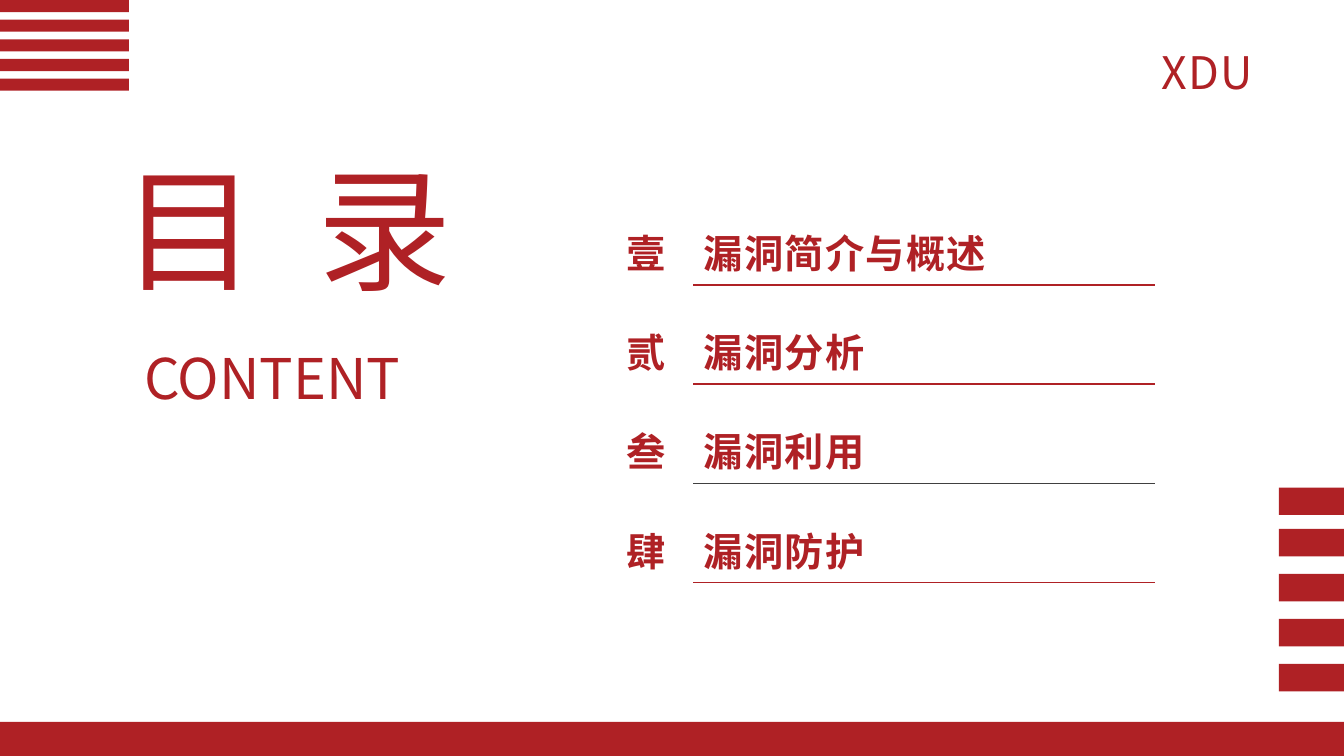
from dataclasses import dataclass

from lxml.etree import SubElement
from pptx import Presentation
from pptx.dml.color import RGBColor
from pptx.enum.shapes import MSO_SHAPE
from pptx.enum.text import MSO_ANCHOR, MSO_AUTO_SIZE, PP_ALIGN
from pptx.oxml.ns import qn
from pptx.util import Inches, Pt

COLORS = {"red": "AF2125", "dark": "404040"}
FONT = "Noto Sans CJK SC"
NO_GRID = "{2D5ABB26-0587-4C30-8999-92F81FD0307C}"
WIDE, HIGH = Inches(13.33), Inches(7.5)


@dataclass
class Box:
    """A place on the slide, in percent of its width and height."""
    left: float
    top: float
    wide: float
    high: float

    def emu(self) -> tuple:
        return (across(self.left), down(self.top),
                across(self.wide), down(self.high))


@dataclass
class Stack:
    """Equal bars, one below the other; pitch in percent of the height."""
    first: Box
    pitch: float = 0
    count: int = 1


@dataclass
class Entry:
    mark: str
    name: str
    line: str = "red"
    width: float = 1.5


STACKS = [
    Stack(Box(0, 95.47, 100, 4.53)),
    Stack(Box(0, 0, 9.6, 1.6), 2.6, 5),
    Stack(Box(95.16, 64.5, 4.84, 3.63)),
    Stack(Box(95.16, 69.97, 4.84, 3.63), 5.95, 4),
]
ENTRIES = [
    Entry("壹", "漏洞简介与概述"),
    Entry("贰", "漏洞分析"),
    Entry("叁", "漏洞利用", "dark", 0.5),
    Entry("肆", "漏洞防护"),
]
COLUMNS = (5.7, 27, 7.35)
ROW = 13.13


def across(share: float) -> int:
    return round(WIDE * share / 100)


def down(share: float) -> int:
    return round(HIGH * share / 100)


def add_run(para, text: str, size: float, gap: float = 0,
            bold: bool = False) -> None:
    """Add a red run; gap is the letter spacing in points."""
    run = para.add_run()
    run.text = text
    font = run.font
    font.size, font.bold, font.name = Pt(size), bold, FONT
    font.color.rgb = RGBColor.from_string(COLORS["red"])
    props = run._r.get_or_add_rPr()
    SubElement(props, qn("a:ea")).set("typeface", FONT)
    if gap:
        props.set("spc", str(round(gap * 100)))


def set_frame(shape, box: Box, space: float, wrap: bool = True):
    """Place a text shape and return its first paragraph."""
    shape.left, shape.top, shape.width, shape.height = box.emu()
    frame = shape.text_frame
    frame.word_wrap = wrap
    frame.auto_size = MSO_AUTO_SIZE.SHAPE_TO_FIT_TEXT
    frame.vertical_anchor = MSO_ANCHOR.TOP
    para = frame.paragraphs[0]
    para.alignment = PP_ALIGN.LEFT
    para.line_spacing = space
    return para


def add_bars(slide, stack: Stack) -> None:
    box = stack.first
    for i in range(stack.count):
        place = Box(box.left, box.top + i * stack.pitch, box.wide, box.high)
        bar = slide.shapes.add_shape(MSO_SHAPE.RECTANGLE, *place.emu())
        bar.shadow.inherit = False
        bar.fill.solid()
        bar.fill.fore_color.rgb = RGBColor.from_string(COLORS["red"])
        bar.line.fill.background()


def add_rule(cell, entry: Entry) -> None:
    """Draw the line below a cell."""
    props = cell._tc.get_or_add_tcPr()
    line = SubElement(props, qn("a:lnB"), w=str(Pt(entry.width)))
    fill = SubElement(line, qn("a:solidFill"))
    SubElement(fill, qn("a:srgbClr"), val=COLORS[entry.line])


def add_list(slide) -> None:
    box = Box(45.9, 24.53, sum(COLUMNS), ROW * len(ENTRIES))
    table = slide.shapes.add_table(
        len(ENTRIES), len(COLUMNS), *box.emu()).table
    table.first_row = table.horz_banding = False
    table._tbl.tblPr.find(qn("a:tableStyleId")).text = NO_GRID
    for column, share in zip(table.columns, COLUMNS):
        column.width = across(share)
    for row, entry in zip(table.rows, ENTRIES):
        row.height = down(ROW)
        for i, text in enumerate((entry.mark, entry.name, "")):
            cell = row.cells[i]
            cell.vertical_anchor = MSO_ANCHOR.BOTTOM
            if i:
                add_rule(cell, entry)
            cell.fill.background()
            if text:
                para = cell.text_frame.paragraphs[0]
                para.alignment = PP_ALIGN.JUSTIFY
                para.line_spacing = 1.5
                add_run(para, text, 28, 1, True)


def main() -> None:
    deck = Presentation()
    deck.slide_width, deck.slide_height = WIDE, HIGH
    slide = deck.slides.add_slide(deck.slide_layouts[5])

    title = set_frame(slide.shapes.title, Box(8.4, 21.07, 26.7, 22.93), 0.9)
    add_run(title, "目", 96)
    add_run(title, " ", 96, 21.5)
    add_run(title, "录", 96)

    box = Box(9.98, 45.73, 25.13, 10.27)
    label = set_frame(slide.shapes.add_textbox(*box.emu()), box, 0.9)
    add_run(label, "CONTENT", 40)

    box = Box(85.67, 5.3, 8.48, 8.4)
    school = set_frame(slide.shapes.add_textbox(*box.emu()), box, 1, False)
    add_run(school, "XDU", 32, 1)

    add_list(slide)
    for stack in STACKS:
        add_bars(slide, stack)
    deck.save("out.pptx")


if __name__ == "__main__":
    main()
